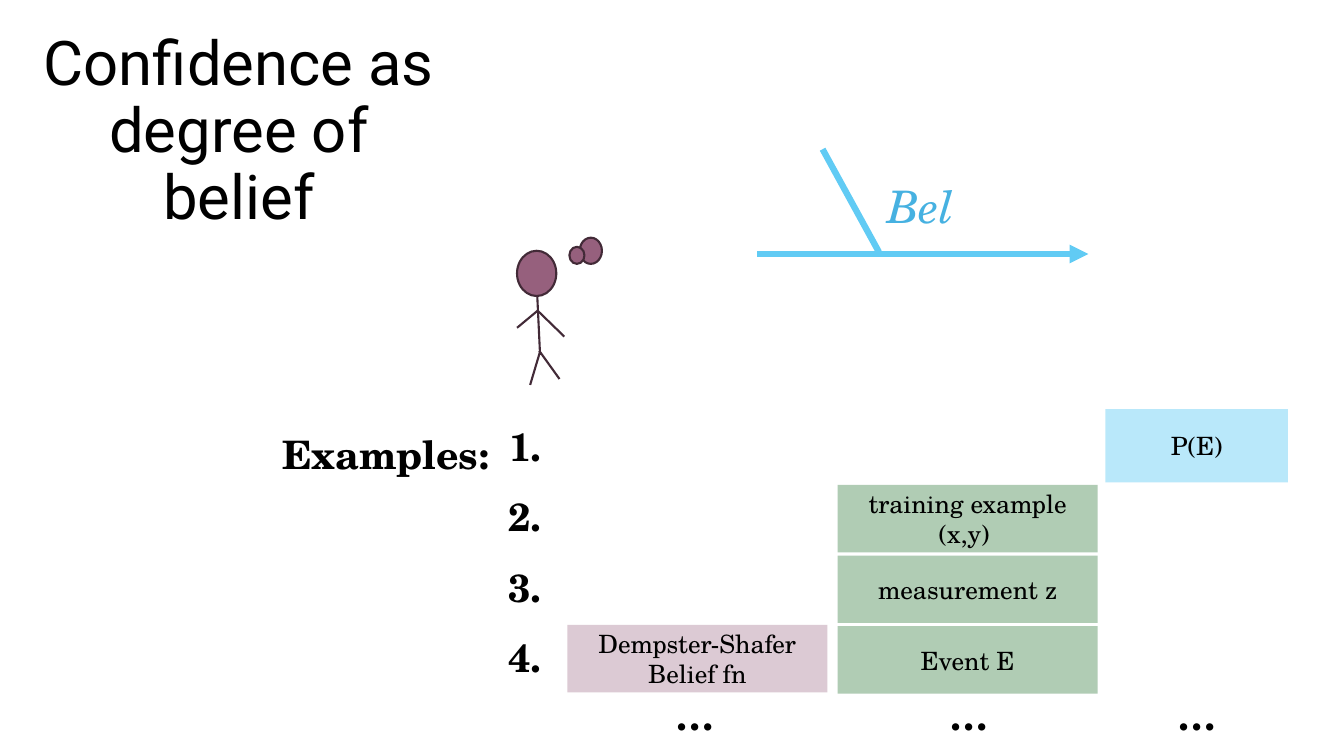
from typing import Any, NamedTuple

import lxml.etree
import pptx
import pptx.dml.color
import pptx.enum.shapes
import pptx.enum.text
import pptx.oxml.ns
import pptx.util

Cm = pptx.util.Cm
Pt = pptx.util.Pt
Align = pptx.enum.text.PP_ALIGN
Anchor = pptx.enum.text.MSO_ANCHOR
AutoSize = pptx.enum.text.MSO_AUTO_SIZE
Preset = pptx.enum.shapes.MSO_SHAPE

SERIF = "TeX Gyre Schola"
BLACK = "000000"
SKY = "61CBF4"
GREEN = "196B24"
PLUM = "96607D"
OUTLINE = "422A37"


class Frame(NamedTuple):
    left: float
    top: float
    width: float
    height: float


class Stroke(NamedTuple):
    x1: float
    y1: float
    x2: float
    y2: float


class Card(NamedTuple):
    text: str
    frame: Frame
    fill: str
    opacity: int


GREEN_LEFT, GREEN_TOP, GREEN_PITCH = 21.11, 12.22, 1.78
GREEN_TEXTS = ["training example (x,y) ", "measurement z", "Event E"]
CARDS = [
    Card("P(E)", Frame(27.86, 10.31, 4.6, 1.85), SKY, 44),
    Card("Dempster-Shafer Belief fn", Frame(14.3, 15.75, 6.55, 1.7), PLUM, 33),
] + [
    Card(text, Frame(GREEN_LEFT, GREEN_TOP + row * GREEN_PITCH, 6.55, 1.7), GREEN, 34)
    for row, text in enumerate(GREEN_TEXTS)
]

HEAD = Frame(13.03, 6.32, 0.99, 1.14)
THOUGHTS = [Frame(14.61, 5.99, 0.56, 0.66), Frame(14.35, 6.22, 0.38, 0.43)]
BODY_AND_LIMBS = [
    Stroke(13.54, 7.47, 13.61, 8.94),
    Stroke(13.61, 8.86, 13.36, 9.7),
    Stroke(13.59, 8.84, 14.1, 9.55),
    Stroke(13.54, 7.82, 14.22, 8.48),
    Stroke(13.56, 7.82, 13.03, 8.26),
]

NUMBER_LEFT, NUMBER_TOP, NUMBER_PITCH = 11.79, 10.52, 1.77
ELLIPSIS_LEFTS = [16.46, 23.37, 29.11]
ELLIPSIS_TOP = 17.3


def colour(value: str) -> pptx.dml.color.RGBColor:
    return pptx.dml.color.RGBColor.from_string(value)


def lengths(values: tuple) -> list:
    return [Cm(value) for value in values]


def write(
    box: Any,
    text: str,
    *,
    size: float,
    font: str = SERIF,
    ink: str = BLACK,
    bold: bool = False,
    italic: bool = False,
    align: Any = Align.CENTER,
    anchor: Any = Anchor.TOP,
    fit: Any = AutoSize.NONE,
    spacing: float = 1.0,
) -> None:
    frame = box.text_frame
    frame.word_wrap = True
    frame.auto_size = fit
    frame.vertical_anchor = anchor
    para = frame.paragraphs[0]
    para.alignment = align
    para.line_spacing = spacing
    span = para.add_run()
    span.text = text
    span.font.name = font
    span.font.size = Pt(size)
    span.font.bold = bold
    span.font.italic = italic
    span.font.color.rgb = colour(ink)


def add_label(page: Any, text: str, frame: Frame, **style: Any) -> None:
    box = page.shapes.add_textbox(*lengths(frame))
    write(box, text, fit=AutoSize.SHAPE_TO_FIT_TEXT, **style)


def add_line(shapes: Any, stroke: Stroke, ink: str, width: float, arrow: bool = False) -> None:
    line = shapes.add_connector(
        pptx.enum.shapes.MSO_CONNECTOR.STRAIGHT, *lengths(stroke)
    )
    line.line.color.rgb = colour(ink)
    line.line.width = Pt(width)
    if arrow:
        outline = line.line._get_or_add_ln()
        lxml.etree.SubElement(outline, pptx.oxml.ns.qn("a:tailEnd"), type="triangle")
    lxml.etree.SubElement(line._element.spPr, pptx.oxml.ns.qn("a:effectLst"))


def add_oval(shapes: Any, frame: Frame) -> None:
    oval = shapes.add_shape(Preset.OVAL, *lengths(frame))
    oval.shadow.inherit = False
    oval.fill.solid()
    oval.fill.fore_color.rgb = colour(PLUM)
    oval.line.color.rgb = colour(OUTLINE)
    oval.line.width = Pt(1.5)


def add_card(page: Any, card: Card) -> None:
    box = page.shapes.add_shape(Preset.RECTANGLE, *lengths(card.frame))
    box.shadow.inherit = False
    box.fill.solid()
    box.fill.fore_color.rgb = colour(card.fill)
    shade = box._element.spPr.find(".//" + pptx.oxml.ns.qn("a:srgbClr"))
    lxml.etree.SubElement(
        shade, pptx.oxml.ns.qn("a:alpha"), val=str(card.opacity * 1000)
    )
    box.line.fill.background()
    write(box, card.text, size=18, anchor=Anchor.MIDDLE)


def add_believer(page: Any) -> None:
    figure = page.shapes.add_group_shape()
    add_oval(figure.shapes, HEAD)
    for stroke in BODY_AND_LIMBS:
        add_line(figure.shapes, stroke, OUTLINE, 1.5)
    for thought in THOUGHTS:
        add_oval(page.shapes, thought)


def main() -> None:
    deck = pptx.Presentation()
    deck.slide_width, deck.slide_height = Cm(33.87), Cm(19.05)
    page = deck.slides.add_slide(deck.slide_layouts[5])

    title = page.shapes.title
    title.left, title.top, title.width, title.height = lengths(
        Frame(0.46, 1.5, 11.13, 3.68)
    )
    write(title, "Confidence as degree of belief", size=44, font="Roboto",
          anchor=Anchor.MIDDLE, spacing=0.9)

    add_line(page.shapes, Stroke(19.08, 6.4, 27.43, 6.4), SKY, 4.5, arrow=True)
    add_line(page.shapes, Stroke(20.73, 3.76, 22.15, 6.35), SKY, 4.5)
    add_label(page, "Bel", Frame(22, 4.37, 2.41, 1.63), size=32, ink="46B1E1", italic=True)
    add_believer(page)

    add_label(page, "Examples:", Frame(6.86, 10.72, 6.17, 1.45),
              size=28, bold=True, align=Align.LEFT)
    for card in CARDS:
        add_card(page, card)
    for row in range(4):
        frame = Frame(NUMBER_LEFT, NUMBER_TOP + row * NUMBER_PITCH, 2.11, 1.45)
        add_label(page, f"{row + 1}.", frame, size=28, bold=True, align=Align.RIGHT)
    for left in ELLIPSIS_LEFTS:
        add_label(page, "…", Frame(left, ELLIPSIS_TOP, 2.11, 1.45), size=28, bold=True)

    deck.save("out.pptx")


if __name__ == "__main__":
    main()
